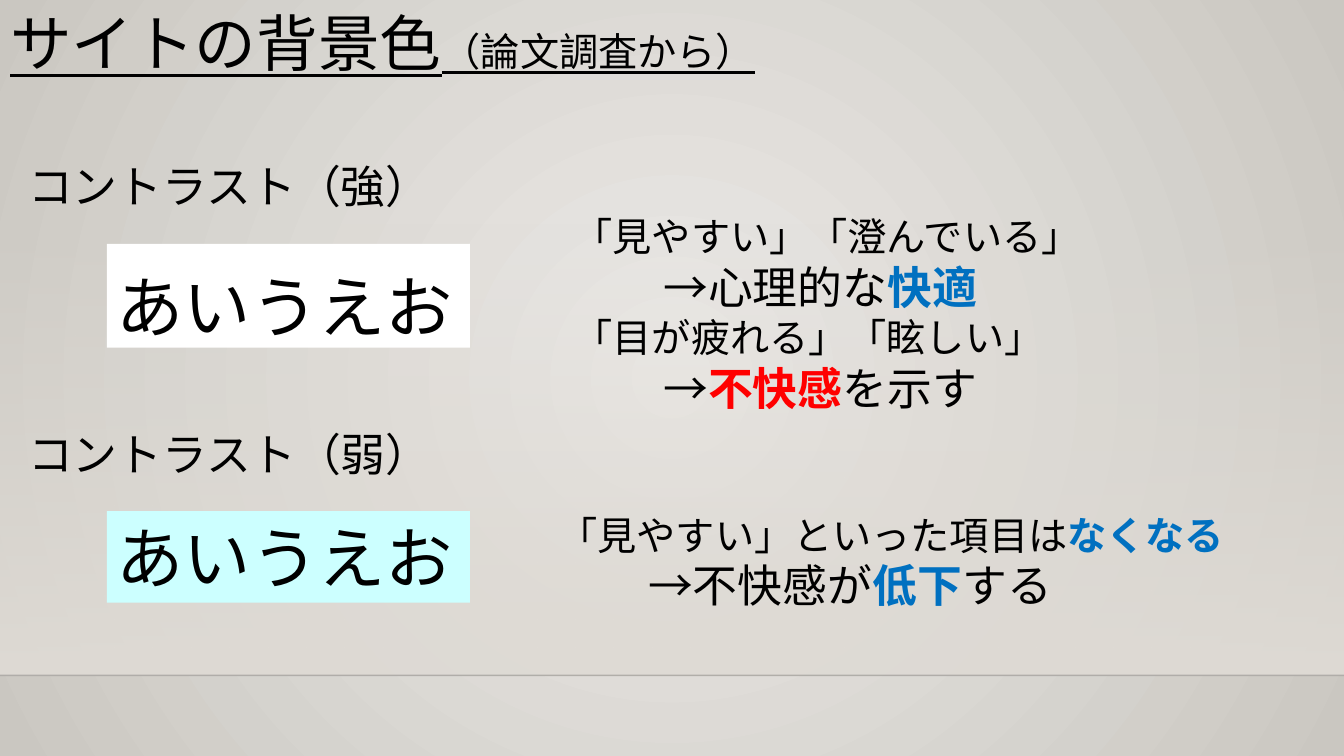
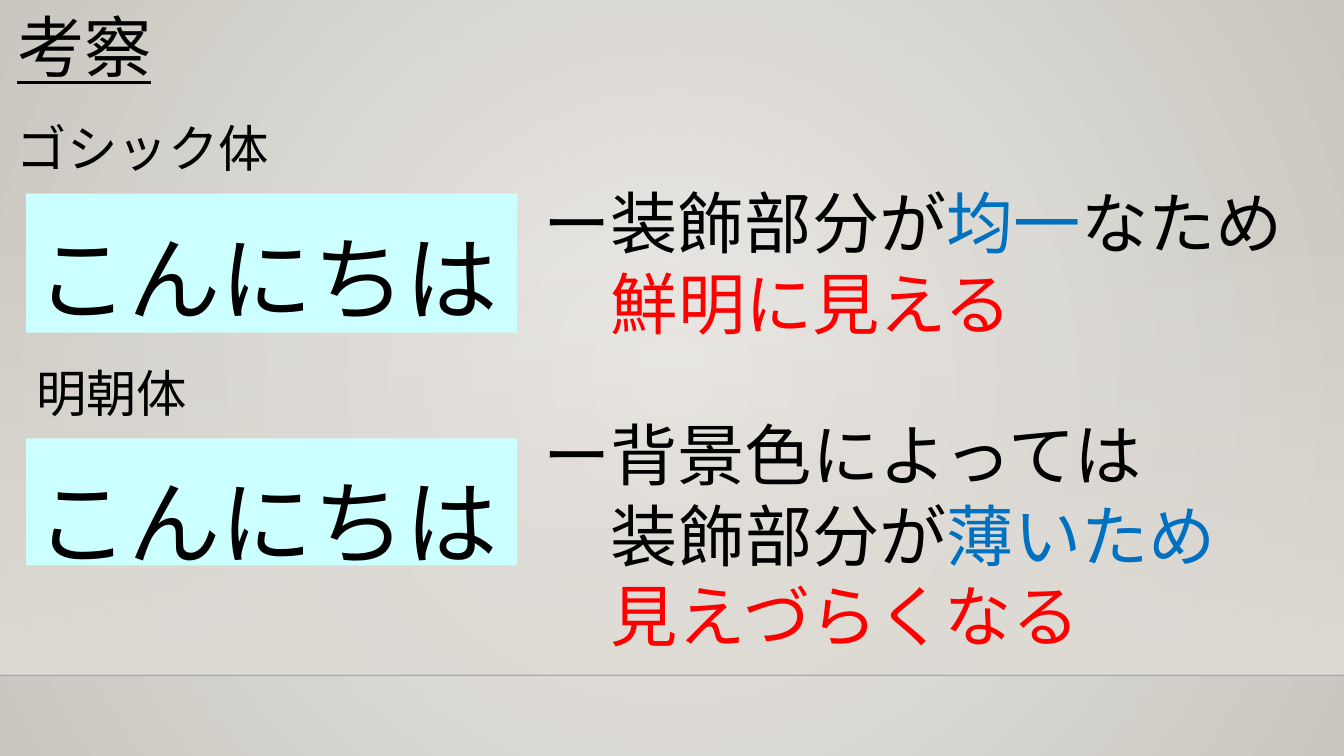
import pptx
import pptx.dml.color
import pptx.enum.shapes
import pptx.enum.text
import pptx.oxml
import pptx.oxml.ns
import pptx.util

PX = 9144
SLIDE_W, SLIDE_H = 1333, 750
GOTHIC, LATIN = "Noto Sans CJK JP", "Calibri"
BLACK, BLUE, RED = "000000", "0070C0", "FF0000"
WHITE, PALE_CYAN = "FFFFFF", "CCFFFF"
GLOW_INNER, GLOW_OUTER, FLOOR, HORIZON = "ECEAE7", "CAC7C1", "DFDBD5", "000001"
SINGLE, LOOSE = 1.0, 1.2


def px(*lengths):
    return [length * PX for length in lengths]


def colour(value):
    return pptx.dml.color.RGBColor.from_string(value)


def apply(target, values):
    for key, value in values.items():
        setattr(target, key, value)


def run(text, size, tint=BLACK, **style):
    return text, size, tint, style


def set_gradient(fill, holder, stops, direction):
    fill.gradient()
    marks = "".join(
        f'<a:gs pos="{place * 1000}"><a:srgbClr val="{tint}">'
        f'<a:alpha val="{alpha * 1000}"/></a:srgbClr></a:gs>'
        for place, tint, alpha in stops)
    gradient = pptx.oxml.parse_xml(
        f'<a:gradFill {pptx.oxml.ns.nsdecls("a")} rotWithShape="1">'
        f'<a:gsLst>{marks}</a:gsLst>{direction}</a:gradFill>')
    plain = holder.xpath(".//a:gradFill")[0]
    plain.getparent().replace(plain, gradient)


def write(frame, paragraphs, font=GOTHIC, spacing=SINGLE):
    apply(frame, {
        "word_wrap": True,
        "auto_size": pptx.enum.text.MSO_AUTO_SIZE.NONE,
        "vertical_anchor": pptx.enum.text.MSO_ANCHOR.TOP,
    })
    for index, (indent, runs) in enumerate(paragraphs):
        paragraph = frame.add_paragraph() if index else frame.paragraphs[0]
        apply(paragraph, {"alignment": pptx.enum.text.PP_ALIGN.LEFT,
                          "line_spacing": spacing})
        if indent:
            properties = paragraph._p.get_or_add_pPr()
            properties.set("marL", str(indent * PX))
            properties.set("indent", "0")
        for text, size, tint, style in runs:
            piece = paragraph.add_run()
            piece.text = text
            apply(piece.font, {"name": font, "size": pptx.util.Pt(size), **style})
            piece.font.color.rgb = colour(tint)
            east_asian = pptx.oxml.parse_xml(
                f'<a:ea {pptx.oxml.ns.nsdecls("a")} typeface="{font}"/>')
            piece.font._element.find(pptx.oxml.ns.qn("a:latin")).addnext(east_asian)


def add_text(slide, box, paragraphs, **options):
    write(slide.shapes.add_textbox(*px(*box)).text_frame, paragraphs, **options)


def add_title(slide, box, runs):
    title = slide.shapes.title
    apply(title, dict(zip(("left", "top", "width", "height"), px(*box))))
    write(title.text_frame, [(0, runs)])


def add_sample(slide, box, label, label_size, label_box, word, word_size,
               swatch_fill, swatch_height, spacing):
    left, top, width, drop = box
    label_shift, label_width, label_height = label_box
    add_text(slide, (left + label_shift, top, label_width, label_height),
             [(0, [run(label, label_size)])])
    swatch = slide.shapes.add_shape(
        pptx.enum.shapes.MSO_SHAPE.RECTANGLE,
        *px(left, top + drop, width, swatch_height))
    swatch.shadow.inherit = False
    swatch.fill.solid()
    swatch.fill.fore_color.rgb = colour(swatch_fill)
    swatch.line.fill.background()
    write(swatch.text_frame, [(0, [run(word, word_size)])], spacing=spacing)


def decorate_master(master, slide):
    set_gradient(
        master.background.fill, master.element.xpath("./p:cSld/p:bg")[0],
        [(0, GLOW_INNER, 100), (100, GLOW_OUTER, 100)],
        '<a:path path="circle"><a:fillToRect l="50000" t="50000" '
        'r="50000" b="50000"/></a:path>')
    floor = slide.shapes.add_shape(
        pptx.enum.shapes.MSO_SHAPE.RECTANGLE, *px(0, 221, SLIDE_W, 449))
    floor.shadow.inherit = False
    floor.line.fill.background()
    set_gradient(floor.fill, floor.element,
                 [(0, FLOOR, 0), (100, FLOOR, 100)], '<a:lin ang="5400000"/>')
    horizon = slide.shapes.add_connector(
        pptx.enum.shapes.MSO_CONNECTOR.STRAIGHT, *px(0, 670, SLIDE_W, 670))
    horizon.line.width = pptx.util.Pt(1)
    horizon.line.color.rgb = colour(HORIZON)
    namespace = pptx.oxml.ns.nsdecls("a")
    horizon.element.xpath(".//a:srgbClr")[0].append(
        pptx.oxml.parse_xml(f'<a:alpha {namespace} val="20000"/>'))
    horizon.element.spPr.append(
        pptx.oxml.parse_xml(f"<a:effectLst {namespace}/>"))
    for offset, part in enumerate((floor, horizon)):
        part.element.xpath(".//p:cNvPr")[0].set("id", str(100 + offset))
        master.shapes.element.insert(2 + offset, part.element)


def build_background_colour(slide):
    add_title(slide, (0, 0, 1052, 84), [
        run("サイトの背景色", 44, underline=True),
        run("（論文調査から）", 28, underline=True)])
    for top, label, fill, height, spacing in (
            (153, "コントラスト（強）", WHITE, 103, LOOSE),
            (418, "コントラスト（弱）", PALE_CYAN, 91, SINGLE)):
        add_sample(slide, (106, top, 360, 89), label, 32, (-88, 467, 64),
                   "あいうえお", 48, fill, height, spacing)
    arrow_indent = 89
    add_text(slide, (559, 206, 721, 212), [
        (0, [run("「見やすい」「澄んでいる」", 28)]),
        (arrow_indent, [run("→心理的な", 32), run("快適", 32, BLUE, bold=True)]),
        (0, [run("「目が疲れる」「眩しい」", 28)]),
        (arrow_indent, [run("→", 32), run("不快感", 32, RED, bold=True),
                        run("を示す", 32)])])
    add_text(slide, (544, 502, 711, 111), [
        (0, [run("「見やすい」といった項目は", 28),
             run("なくなる", 28, BLUE, bold=True)]),
        (arrow_indent, [run("→不快感が", 32), run("低下", 32, BLUE, bold=True),
                        run("する", 32)])])


def build_discussion(slide):
    add_title(slide, (7, 0, 295, 91), [run("考察", 48, underline=True)])
    for top, label, shift, height in ((111, "ゴシック体", -19, 138),
                                      (354, "明朝体", 0, 126)):
        add_sample(slide, (26, top, 487, 81), label, 36, (shift, 288, 71),
                   "こんにちは", 66, PALE_CYAN, height, LOOSE)
    dash_indent = 67
    for box, paragraphs in (
            ((529, 175, 804, 172), [
                (0, [run("ー装飾部分が", 48), run("均一", 48, BLUE),
                     run("なため", 48)]),
                (dash_indent, [run("鮮明に見える", 48, RED)])]),
            ((529, 405, 793, 252), [
                (0, [run("ー背景色によっては", 48)]),
                (dash_indent, [run("装飾部分が", 48), run("薄いため", 48, BLUE)]),
                (dash_indent, [run("見えづらくなる", 48, RED)])])):
        add_text(slide, box, paragraphs, font=LATIN)


def main():
    deck = pptx.Presentation()
    deck.slide_width, deck.slide_height = px(SLIDE_W, SLIDE_H)
    title_only = deck.slide_layouts[5]
    for index, build in enumerate((build_background_colour, build_discussion)):
        slide = deck.slides.add_slide(title_only)
        if not index:
            decorate_master(deck.slide_master, slide)
        build(slide)
    deck.save("out.pptx")


if __name__ == "__main__":
    main()
